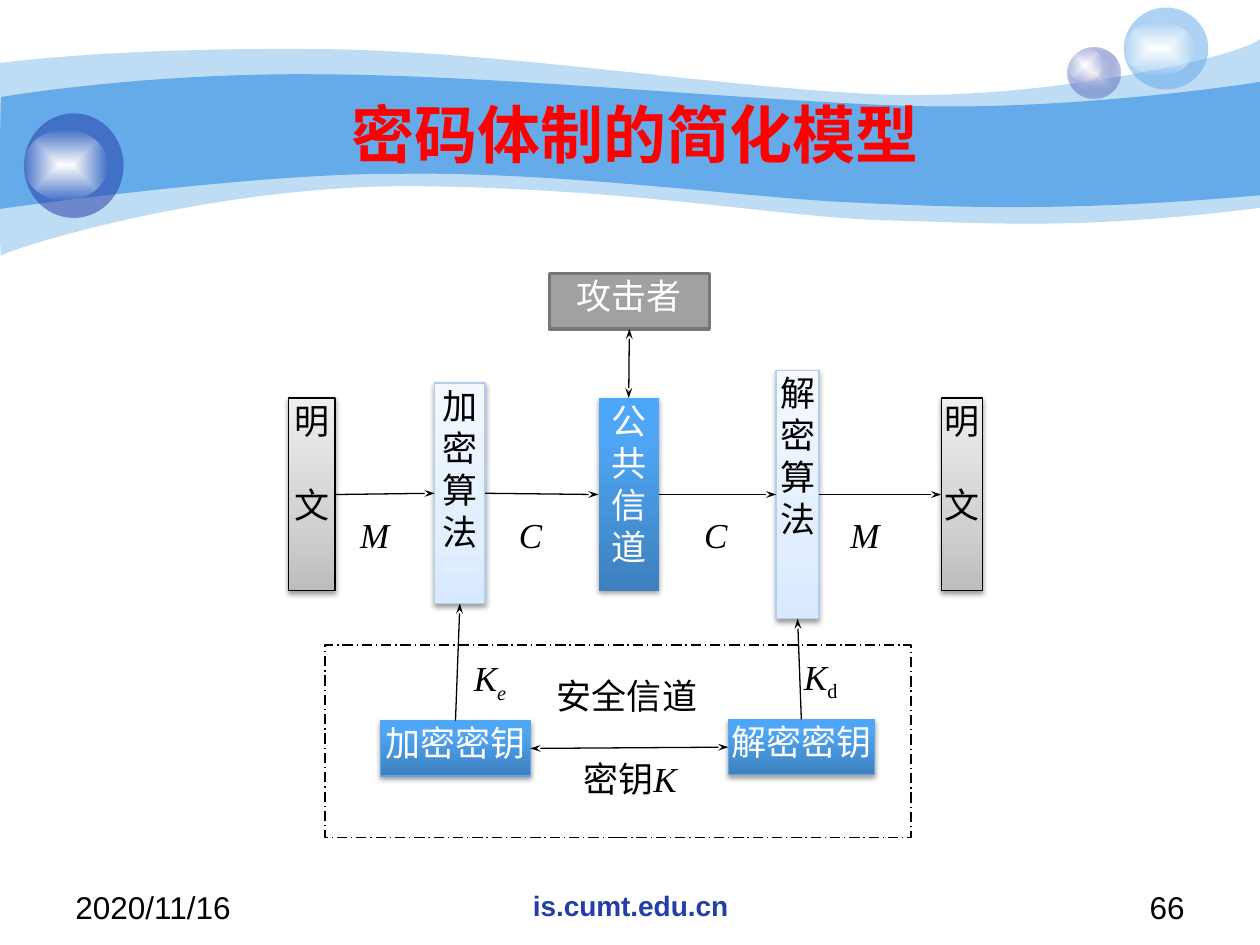
"""Build the slide showing the simplified model of a cryptosystem."""
import pptx
import pptx.util
from lxml import etree
from pptx.dml.color import RGBColor
from pptx.enum.dml import MSO_LINE
from pptx.enum.shapes import MSO_CONNECTOR, MSO_SHAPE
from pptx.enum.text import MSO_ANCHOR, PP_ALIGN
from pptx.oxml.ns import qn
from pptx.util import Inches, Pt

BLACK = RGBColor(0x00, 0x00, 0x00)
WHITE = RGBColor(0xFF, 0xFF, 0xFF)
RED = RGBColor(0xFF, 0x00, 0x00)
SKY = RGBColor(0x65, 0xAA, 0xE9)
NAVY = RGBColor(0x23, 0x3D, 0xA9)
LAVENDER = RGBColor(0xE1, 0xE2, 0xED)
GREY = RGBColor(0xA1, 0xA1, 0xA1)
DARK_GREY = RGBColor(0x77, 0x77, 0x77)
PALE_EDGE = RGBColor(0xB3, 0xCD, 0xEE)
BLUE_EDGE = RGBColor(0x60, 0xA6, 0xE7)

SERIF, SANS = "Times New Roman", "Arial"
LEFT, CENTER, RIGHT = PP_ALIGN.LEFT, PP_ALIGN.CENTER, PP_ALIGN.RIGHT
TOP_SIDE, LEFT_SIDE, BOTTOM_SIDE, RIGHT_SIDE = range(4)
TIGHT = (0.02, 0.01)
ROOMY = (0.1, 0.05)

GREY_STOPS = [(0, "BDBDBD", 100), (35, "D1D1D1", 100), (100, "EEEEEE", 100)]
PALE_STOPS = [(0, "D9E9FF", 100), (35, "E3EFFF", 100), (100, "F4F9FF", 100)]
BLUE_STOPS = [(0, "3D80BD", 100), (80, "4FA6F5", 100), (100, "4CA7F9", 100)]
GLOW_STOPS = [(0, "FFFFFF", 100), (100, "FFFFFF", 0)]
VIOLET_STOPS = [(0, str(LAVENDER), 100), (100, str(NAVY), 31)]

WAVES = [
    (41, (0, 0.5), [
        (0.24, 0.47, 1.07, 0.38, 2.47, 0.39), (3.86, 0.39, 5.75, 0.7, 6.99, 0.75),
        (8.22, 0.8, 9.8, 0.47, 10, 0.31), (10, 1.65),
        (8.58, 1.83, 7.87, 1.77, 7.05, 1.75), (6.22, 1.73, 5.15, 1.51, 3.43, 1.48),
        (1.72, 1.44, 0.04, 1.99, 0.01, 2.03), (-0.01, 2.08, 0, 0.75, 0, 0.5)]),
    (100, (0.01, 0.77), [
        (0.02, 0.77, 1.1, 0.58, 2.48, 0.59), (3.86, 0.59, 5.95, 0.8, 7.18, 0.84),
        (8.41, 0.88, 9.76, 0.69, 10, 0.65), (10, 1.55),
        (8.53, 1.68, 7.65, 1.65, 6.82, 1.61), (5.99, 1.58, 4.47, 1.36, 3.17, 1.38),
        (2.03, 1.37, -0.02, 1.66, -0.01, 1.66), (0, 1.66, 0, 0.77, 0.01, 0.77)]),
]
BUBBLES = [
    ((8.47, 0.38, 0.42, 0.4), VIOLET_STOPS, (8.47, 0.38, 0.28, 0.27)),
    ((8.92, 0.06, 0.67, 0.65), SKY, (8.92, 0.17, 0.56, 0.43)),
    ((0.19, 0.9, 0.79, 0.83), NAVY, (0.19, 1.03, 0.66, 0.56)),
]
BUBBLE_ALPHA = 53
HEADINGS = [
    ("密码体制的简化模型", (1, 0.75, 8.08, 0.62), 36, RED, True, CENTER, MSO_ANCHOR.MIDDLE),
    ("2020/11/16", (0.5, 7, 2.33, 0.35), 18, BLACK, False, LEFT, MSO_ANCHOR.TOP),
    ("is.cumt.edu.cn", (3.42, 7, 3.17, 0.35), 16, NAVY, True, CENTER, MSO_ANCHOR.TOP),
    ("66", (7.17, 7, 2.33, 0.35), 18, BLACK, False, RIGHT, MSO_ANCHOR.TOP),
]
KEY_AREA = (2.58, 5.12, 4.65, 1.53)
LABELS = [
    ([("K", "italic"), ("d", "sub")], (6.36, 5.19, 0.58, 0.44), TIGHT),
    ([("K", "italic"), ("e", "italic sub")], (3.74, 5.2, 0.58, 0.44), TIGHT),
    ([("安全信道", "")], (4.4, 5.34, 1.16, 0.44), TIGHT),
    ([("M", "italic")], (6.65, 4.03, 0.71, 0.66), ROOMY),
    ([("C", "italic")], (5.49, 4.03, 0.35, 0.66), ROOMY),
    ([("C", "italic")], (4.02, 4.03, 0.56, 0.66), ROOMY),
    ([("M", "italic")], (2.76, 4.03, 0.58, 0.66), ROOMY),
    ([("密钥", ""), ("K", "italic")], (4.61, 6, 0.87, 0.44), TIGHT),
]
PARTS = {
    "attacker": ("攻击者", (4.36, 2.17, 1.27, 0.44), GREY, DARK_GREY, 2, WHITE),
    "plaintext in": ("明\n文", (2.29, 3.16, 0.37, 1.53), GREY_STOPS, BLACK, 0.75, BLACK),
    "encryption": ("加密算法", (3.45, 3.04, 0.4, 1.75), PALE_STOPS, PALE_EDGE, 0.75, BLACK),
    "channel": ("公共信\n道", (4.75, 3.16, 0.48, 1.53), BLUE_STOPS, None, 0, WHITE),
    "decryption": ("解密算法", (6.16, 2.94, 0.34, 1.97), PALE_STOPS, PALE_EDGE, 0.75, BLACK),
    "plaintext out": ("明\n文", (7.47, 3.16, 0.33, 1.53), GREY_STOPS, BLACK, 0.75, BLACK),
    "encryption key": ("加密密钥", (3.02, 5.72, 1.19, 0.44), BLUE_STOPS, BLUE_EDGE, 0.75, WHITE),
    "decryption key": ("解密密钥", (5.78, 5.71, 1.16, 0.44), BLUE_STOPS, BLUE_EDGE, 0.75, WHITE),
}
FLOWS = [
    ("attacker", BOTTOM_SIDE, "channel", TOP_SIDE, True),
    ("plaintext in", RIGHT_SIDE, "encryption", LEFT_SIDE, False),
    ("encryption", RIGHT_SIDE, "channel", LEFT_SIDE, False),
    ("channel", RIGHT_SIDE, "decryption", LEFT_SIDE, False),
    ("decryption", RIGHT_SIDE, "plaintext out", LEFT_SIDE, False),
    ("encryption key", TOP_SIDE, "encryption", BOTTOM_SIDE, False),
    ("decryption key", TOP_SIDE, "decryption", BOTTOM_SIDE, False),
    ("encryption key", RIGHT_SIDE, "decryption key", LEFT_SIDE, True),
]


def add(parent, tag, **attributes):
    return etree.SubElement(parent, qn(tag), {k: str(v) for k, v in attributes.items()})


def paint(shape, fill, alpha=100, radial=False):
    if isinstance(fill, RGBColor):
        shape.fill.solid()
        shape.fill.fore_color.rgb = fill
        if alpha < 100:
            add(shape._element.spPr.find(".//" + qn("a:srgbClr")), "a:alpha", val=alpha * 1000)
        return
    shape.fill.background()
    blank = shape._element.spPr.find(qn("a:noFill"))
    gradient = etree.Element(qn("a:gradFill"), rotWithShape="1")
    blank.getparent().replace(blank, gradient)
    stops = add(gradient, "a:gsLst")
    for position, color, opacity in fill:
        stop = add(stops, "a:gs", pos=position * 1000)
        tint = add(stop, "a:srgbClr", val=color)
        if opacity < 100:
            add(tint, "a:alpha", val=opacity * 1000)
    if radial:
        path = add(gradient, "a:path", path="shape")
        add(path, "a:fillToRect", l=50000, t=50000, r=50000, b=50000)
    else:
        add(gradient, "a:lin", ang=16200000, scaled=0)


def outline(shape, color, width):
    if color is None:
        shape.line.fill.background()
    else:
        shape.line.color.rgb = color
        shape.line.width = Pt(width)


def add_figure(slide, preset, place, fill, edge=None, width=0, **look):
    figure = slide.shapes.add_shape(preset, *map(Inches, place))
    paint(figure, fill, **look)
    outline(figure, edge, width)
    figure.shadow.inherit = False
    return figure


def cast_shadow(shape):
    effects = shape._element.spPr.find(qn("a:effectLst"))
    shade = add(effects, "a:outerShdw", blurRad=Pt(3.1), dist=Pt(1.6), dir=5400000, rotWithShape=0)
    add(add(shade, "a:srgbClr", val=BLACK), "a:alpha", val=38000)


def set_frame(frame, insets, anchor=MSO_ANCHOR.TOP):
    frame.word_wrap = True
    frame.vertical_anchor = anchor
    frame.margin_left = frame.margin_right = Inches(insets[0])
    frame.margin_top = frame.margin_bottom = Inches(insets[1])


def style(font, size, color, name=SERIF, bold=False):
    font.size, font.name, font.bold = Pt(size), name, bold
    font.color.rgb = color


def add_wave(slide, alpha, start, segments):
    builder = slide.shapes.build_freeform(*map(Inches, start))
    for segment in segments:
        corners = list(map(Inches, segment))
        builder.add_line_segments(zip(corners[::2], corners[1::2]), close=False)
    wave = builder.convert_to_shape()
    outline_path = wave._element.spPr.find(".//" + qn("a:path"))
    steps = iter(outline_path.findall(qn("a:lnTo")))
    for segment in segments:
        curve, *rest = [next(steps) for _ in range(len(segment) // 2)]
        if rest:
            curve.tag = qn("a:cubicBezTo")
        for step in rest:
            curve.append(step[0])
            outline_path.remove(step)
    add(outline_path, "a:close")
    paint(wave, SKY, alpha)
    outline(wave, None, 0)
    wave.shadow.inherit = False


def add_heading(slide, text, place, size, color, bold, align, anchor):
    heading = slide.shapes.add_textbox(*map(Inches, place))
    set_frame(heading.text_frame, ROOMY, anchor)
    paragraph = heading.text_frame.paragraphs[0]
    paragraph.text, paragraph.alignment = text, align
    style(paragraph.runs[0].font, size, color, SANS, bold)


def add_label(slide, pieces, place, insets):
    label = add_figure(slide, MSO_SHAPE.RECTANGLE, place, WHITE, WHITE, 0.75)
    set_frame(label.text_frame, insets)
    paragraph = label.text_frame.paragraphs[0]
    paragraph.alignment = PP_ALIGN.JUSTIFY
    for text, look in pieces:
        run = paragraph.add_run()
        run.text = text
        style(run.font, 20, BLACK)
        run.font.italic = "italic" in look
        if "sub" in look:
            run.font._element.set("baseline", "-25000")


def add_part(slide, text, place, fill, edge, width, color):
    part = add_figure(slide, MSO_SHAPE.RECTANGLE, place, fill, edge, width)
    if fill is not GREY:
        cast_shadow(part)
    set_frame(part.text_frame, TIGHT)
    part.text_frame.text = text
    for index, paragraph in enumerate(part.text_frame.paragraphs):
        paragraph.alignment = CENTER
        if index and fill is GREY_STOPS:
            paragraph.space_before = Pt(24)
        style(paragraph.runs[0].font, 20, color)
    return part


def add_flow(slide, source, source_side, target, target_side, both_ways):
    flow = slide.shapes.add_connector(MSO_CONNECTOR.STRAIGHT, 0, 0, 0, 0)
    flow.begin_connect(source, source_side)
    flow.end_connect(target, target_side)
    outline(flow, BLACK, 0.75)
    for end in ("a:headEnd", "a:tailEnd")[0 if both_ways else 1:]:
        add(flow.line._get_or_add_ln(), end, type="stealth", w="sm", len="med")
    add(flow._element.spPr, "a:effectLst")


def main():
    deck = pptx.Presentation()
    deck.slide_width, deck.slide_height = Inches(10), Inches(7.5)
    slide = deck.slides.add_slide(deck.slide_layouts[6])
    for wave in WAVES:
        add_wave(slide, *wave)
    for place, fill, glow in BUBBLES:
        add_figure(slide, MSO_SHAPE.OVAL, place, fill, alpha=BUBBLE_ALPHA, radial=True)
        add_figure(slide, MSO_SHAPE.OVAL, glow, GLOW_STOPS, radial=True)
    for heading in HEADINGS:
        add_heading(slide, *heading)
    key_area = add_figure(slide, MSO_SHAPE.RECTANGLE, KEY_AREA, WHITE, BLACK, 0.75)
    key_area.line.dash_style = MSO_LINE.LONG_DASH_DOT
    for label in LABELS:
        add_label(slide, *label)
    parts = {name: add_part(slide, *part) for name, part in PARTS.items()}
    for source, source_side, target, target_side, both_ways in FLOWS:
        add_flow(slide, parts[source], source_side, parts[target], target_side, both_ways)
    deck.save("out.pptx")


if __name__ == "__main__":
    main()
